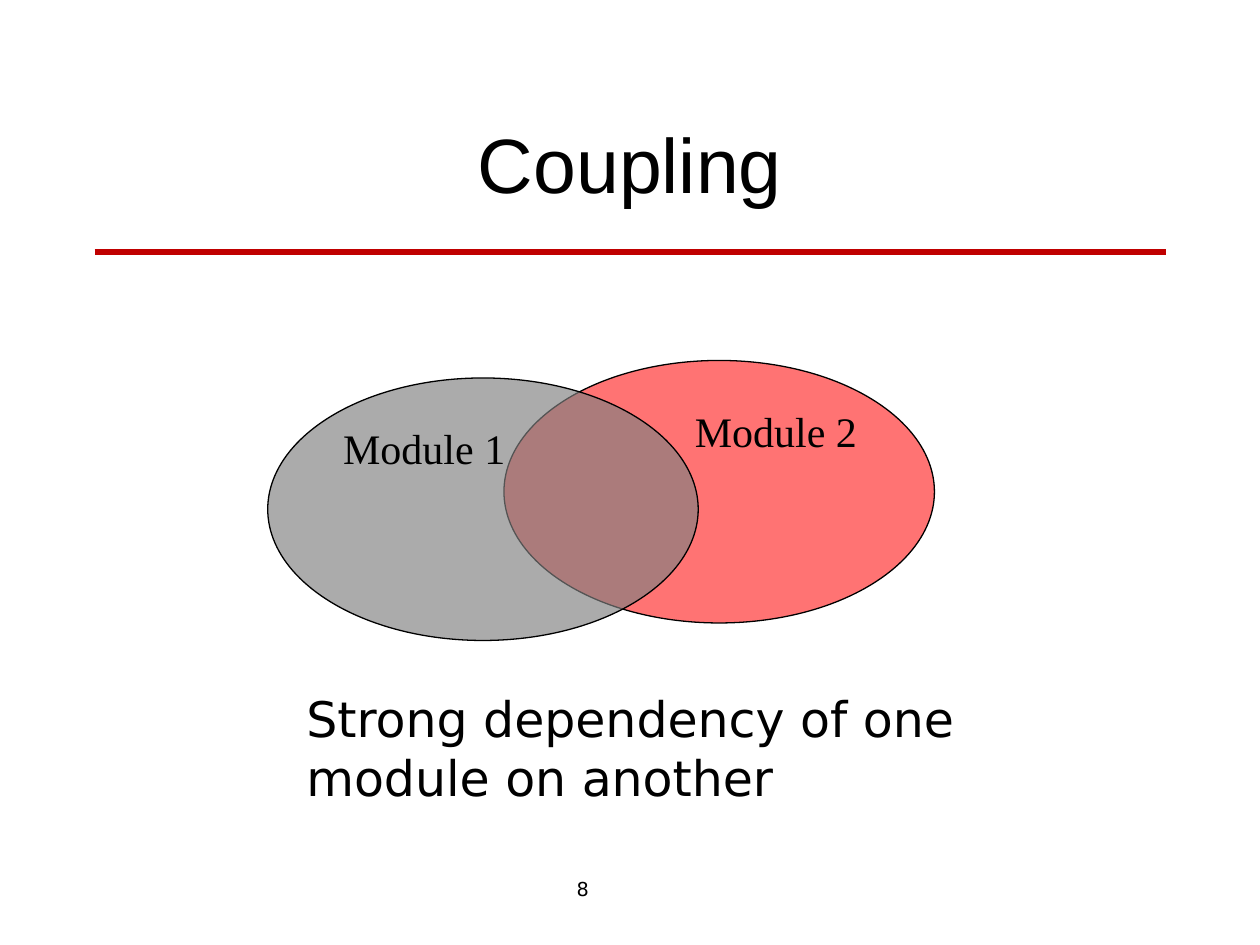
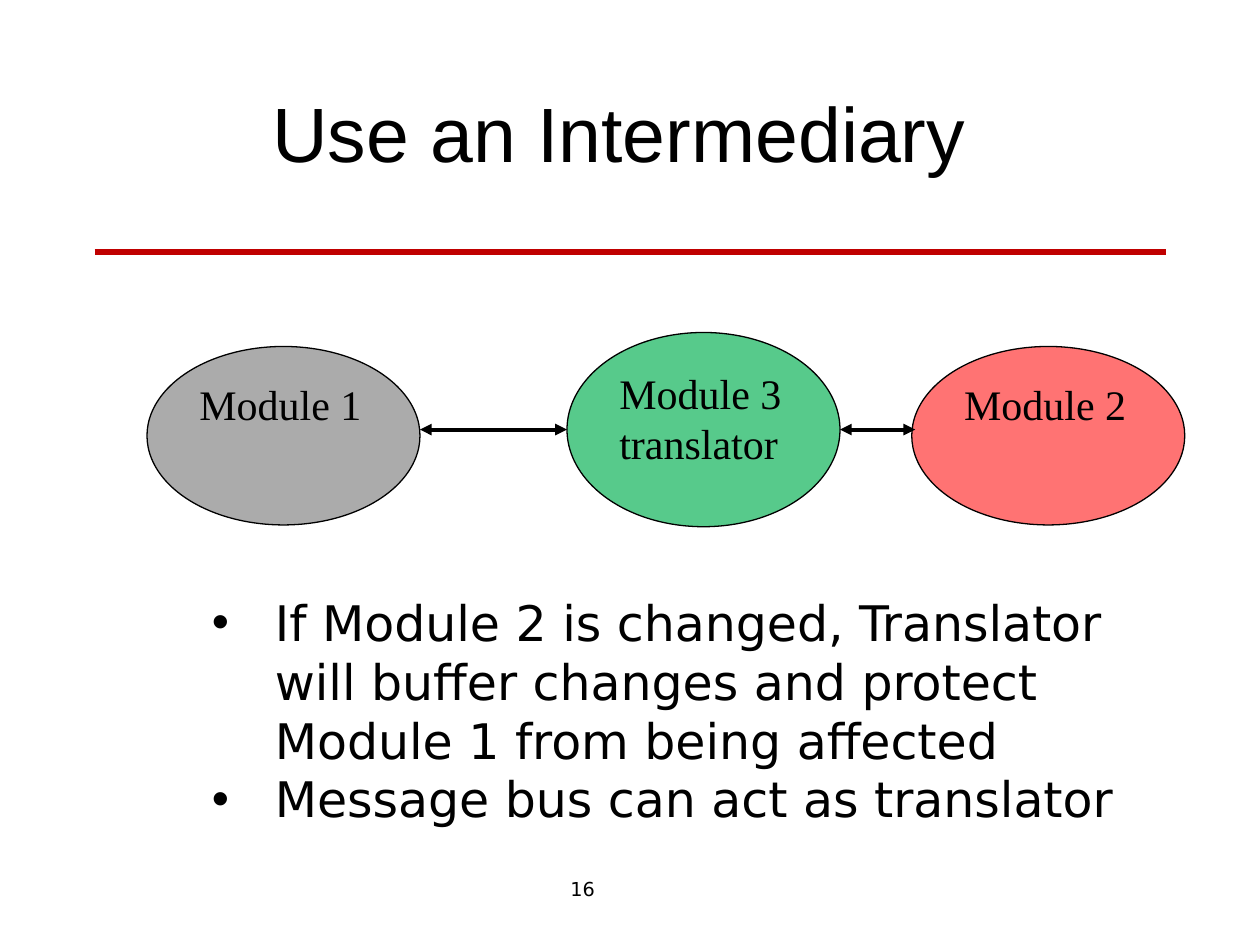
from lxml import etree
from pptx import Presentation
from pptx.dml.color import RGBColor
from pptx.enum import shapes, text
from pptx.oxml import ns
from pptx.util import Pt

COLORS = {"ink": "000000", "rule": "C00000", "gray": "808080",
          "red": "FF0000", "green": "00B050"}
OPACITY = {"gray": 66, "red": 55, "green": 66}
FORMATS = {
    "title": {"name": "Arial", "size": Pt(44)},
    "module": {"name": "Times New Roman", "size": Pt(24)},
    "body": {"name": "DejaVu Sans", "size": Pt(28)},
    "number": {"name": "DejaVu Sans", "size": Pt(11)},
}
CENTER = text.PP_ALIGN.CENTER
LEFT = text.PP_ALIGN.LEFT


def rgb(color):
    return RGBColor.from_string(COLORS[color])


def add_xml(parent, tag, **attrs):
    return etree.SubElement(parent, ns.qn(tag), attrs)


def write(tf, lines, style, align=LEFT):
    tf.word_wrap = True
    for i, line in enumerate(lines):
        p = tf.paragraphs[0] if i == 0 else tf.add_paragraph()
        p.alignment = align
        r = p.add_run()
        r.text = line
        for key, value in FORMATS[style].items():
            setattr(r.font, key, value)
        r.font.color.rgb = rgb("ink")


def set_indent(p, left, hanging=0):
    pPr = p._p.get_or_add_pPr()
    pPr.set("marL", str(Pt(left)))
    pPr.set("indent", str(-Pt(hanging)))
    return pPr


def add_text(slide, box, lines, style, align=LEFT, anchor=text.MSO_ANCHOR.TOP):
    tf = slide.shapes.add_textbox(*map(Pt, box)).text_frame
    tf.vertical_anchor = anchor
    write(tf, lines, style, align)
    return tf


def add_bullets(slide, box, lines):
    tf = add_text(slide, box, lines, "body")
    for p in tf.paragraphs:
        pPr = set_indent(p, 36, 36)
        add_xml(pPr, "a:buFont", typeface="Arial")
        add_xml(pPr, "a:buChar", char="•")


def add_line(slide, x1, x2, y, color, width, arrows=False):
    line = slide.shapes.add_connector(
        shapes.MSO_CONNECTOR.STRAIGHT, Pt(x1), Pt(y), Pt(x2), Pt(y))
    line.line.color.rgb = rgb(color)
    line.line.width = Pt(width)
    if arrows:
        for end in ("a:headEnd", "a:tailEnd"):
            add_xml(line.line._ln, end, type="triangle")
    add_xml(line._element.spPr, "a:effectLst")


def add_module(slide, box, color, lines, indent=0):
    sp = slide.shapes.add_shape(shapes.MSO_SHAPE.OVAL, *map(Pt, box))
    sp.shadow.inherit = False
    sp.fill.solid()
    sp.fill.fore_color.rgb = rgb(color)
    srgb = sp.fill._xPr.find(".//" + ns.qn("a:srgbClr"))
    add_xml(srgb, "a:alpha", val=str(OPACITY[color] * 1000))
    sp.line.color.rgb = rgb("ink")
    sp.line.width = Pt(0.75)
    tf = sp.text_frame
    tf.vertical_anchor = text.MSO_ANCHOR.TOP
    tf.margin_right = 0
    write(tf, lines, "module")
    for p in tf.paragraphs:
        set_indent(p, indent)


def add_slide(prs, title, title_top, number):
    slide = prs.slides.add_slide(prs.slide_layouts[6])
    add_line(slide, 54, 666, 144, "rule", 3)
    add_text(slide, (288, 498, 90, 21), [number], "number", CENTER)
    add_text(slide, (54, title_top, 612, 90), [title], "title", CENTER,
             text.MSO_ANCHOR.MIDDLE)
    return slide


def add_coupling(prs):
    slide = add_slide(prs, "Coupling", 48, "8")
    add_module(slide, (288, 206, 246, 150), "red", ["Module 2"], 66)
    add_module(slide, (153, 216, 246, 150), "gray", ["Module 1"])
    add_text(slide, (168, 390, 438, 75),
             ["Strong dependency of one module on another"], "body")


def add_intermediary(prs):
    slide = add_slide(prs, "Use an Intermediary ", 30, "16")
    add_module(slide, (521, 198, 156, 102), "red", ["Module 2"])
    add_module(slide, (84, 198, 156, 102), "gray", ["Module 1"])
    add_module(slide, (324, 190, 156, 111), "green", ["Module 3", "translator"])
    for x1, x2 in ((240, 324), (480, 523)):
        add_line(slide, x1, x2, 245.5, "ink", 2.25, arrows=True)
    add_bullets(slide, (114, 335, 534, 143), [
        "If Module 2 is changed, Translator will buffer changes and protect "
        "Module 1 from being affected",
        "Message bus can act as translator",
    ])


def main():
    prs = Presentation()
    prs.slide_width, prs.slide_height = Pt(720), Pt(540)
    add_coupling(prs)
    add_intermediary(prs)
    prs.save("out.pptx")


if __name__ == "__main__":
    main()
